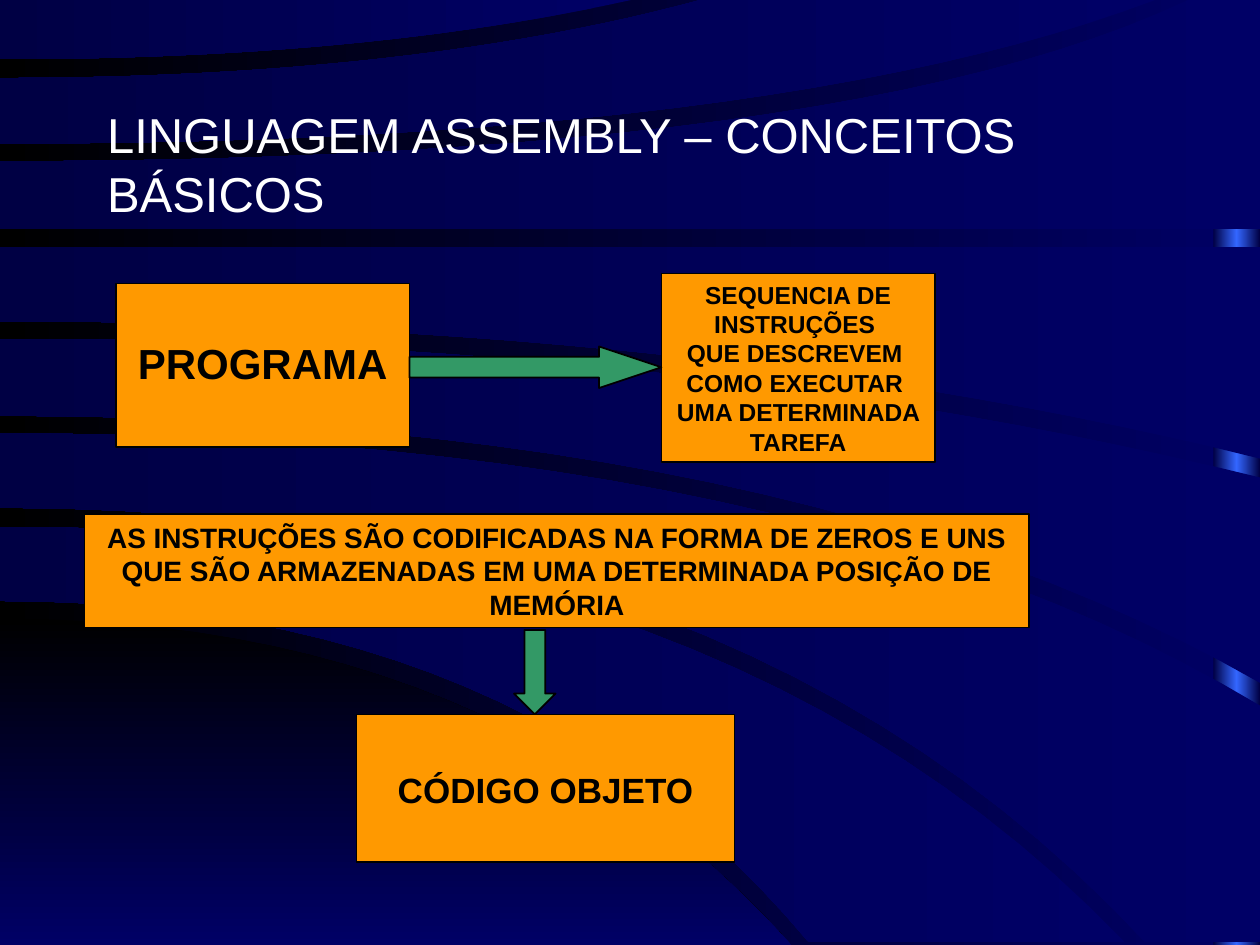
import copy
import pptx
import pptx.util
import pptx.dml.color
import pptx.enum.shapes
import pptx.enum.text

Inches = pptx.util.Inches
KIND = pptx.enum.shapes.MSO_SHAPE
ALIGN = pptx.enum.text.PP_ALIGN
ANCHOR = pptx.enum.text.MSO_ANCHOR

COLORS = {"night": "000066", "dusk": "000044", "black": "000000", "glow": "3366FF",
          "box": "FF9900", "arrow": "339966", "white": "FFFFFF"}

TITLE = "LINGUAGEM ASSEMBLY – CONCEITOS BÁSICOS"

# place, top inset, text size, lines
BOXES = [
    ((0.92, 2.25, 2.33, 1.3), 0.43, 24, ["PROGRAMA"]),
    ((5.25, 2.17, 2.17, 1.5), 0.05, 14,
     ["SEQUENCIA DE INSTRUÇÕES ", "QUE DESCREVEM ", "COMO EXECUTAR ",
      "UMA DETERMINADA ", "TAREFA"]),
    ((0.67, 4.08, 7.5, 0.9), 0.05, 16,
     ["AS INSTRUÇÕES SÃO CODIFICADAS NA FORMA DE ZEROS E UNS QUE SÃO "
      "ARMAZENADAS EM UMA DETERMINADA POSIÇÃO DE MEMÓRIA"]),
    ((2.83, 5.67, 3, 1.17), 0.43, 20, ["CÓDIGO OBJETO"]),
]

# kind, place, head length
ARROWS = [
    (KIND.RIGHT_ARROW, (3.25, 2.75, 2, 0.33), 1.5),
    (KIND.DOWN_ARROW, (4.08, 5, 0.33, 0.67), 0.5),
]

# Upper and lower edge of each band: start y, bend x, end x, end y
CORNER = ((4.91, 3.96, 6.28, 7.5), (7.5, 3, 6.28, 7.5))
BANDS = [
    ((4.18, 5.76, 8.93, 7.48), (4.77, 4.17, 6.42, 7.48)),
    ((3.44, 6.4, 10, 5.6), (4.03, 5.9, 9.09, 7.48)),
    ((2.69, 5.54, 10, 3.79), (3.3, 6.3, 10, 5.42)),
    ((1.96, 5, 10, 1.96), (2.55, 5.66, 10, 3.64)),
    ((1.28, 6.73, 9.43, 0), (1.82, 5, 10, 1.82)),
    ((0.62, 3.28, 5.56, 0), (1.14, 6.15, 9.17, 0)),
    ((0, 2.5, 5.01, 0), (0.47, 2.9, 5.01, 0)),
]
STEPS = 24


def rgb(name):
    return pptx.dml.color.RGBColor.from_string(COLORS[name])


def blend(fill, names, angle=180):
    """Fill with a linear gradient of evenly spaced colours."""
    fill.gradient()
    fill.gradient_angle = angle
    first = fill.gradient_stops[0]._gs
    for _ in names[2:]:
        first.addnext(copy.deepcopy(first))
    for i, (stop, name) in enumerate(zip(fill.gradient_stops, names)):
        stop.color.rgb = rgb(name)
        stop.position = i / (len(names) - 1)


def put_text(shape, lines, size, color="black", bold=False, align=ALIGN.CENTER,
             anchor=ANCHOR.TOP, top=0.05):
    frame = shape.text_frame
    frame.word_wrap = True
    frame.auto_size = pptx.enum.text.MSO_AUTO_SIZE.NONE
    frame.vertical_anchor = anchor
    frame.margin_left = frame.margin_right = Inches(0.1)
    frame.margin_top, frame.margin_bottom = Inches(top), Inches(0.05)
    frame.text = "\n".join(lines)
    for para in frame.paragraphs:
        para.alignment = align
        font = para.runs[0].font
        font.name, font.size, font.bold = "Arial", pptx.util.Pt(size), bold
        font.color.rgb = rgb(color)


def add_form(slide, kind, place, color=None):
    """Add a preset shape; with a colour it gets a flat fill and black outline."""
    shape = slide.shapes.add_shape(kind, *map(Inches, place))
    shape.shadow.inherit = False
    if color:
        shape.fill.solid()
        shape.fill.fore_color.rgb = rgb(color)
        shape.line.color.rgb = rgb("black")
        shape.line.width = pptx.util.Pt(1)
    else:
        shape.line.fill.background()
    return shape


def trace(start, bend, end_x, end_y):
    """Points of a quadratic curve that leaves the left side level."""
    points = []
    for i in range(STEPS + 1):
        t = i / STEPS
        x = 2 * t * (1 - t) * bend + t * t * end_x
        y = start + t * t * (end_y - start)
        points.append((Inches(x), Inches(y)))
    return points


def add_band(slide, edges, names, angle=180):
    upper, lower = (trace(*edge) for edge in edges)
    ends = upper[-1], lower[-1]
    corner = (max(ends)[0], min(ends, key=lambda end: end[0])[1])
    points = upper + [corner] + lower[::-1]
    form = slide.shapes.build_freeform(*points[0])
    form.add_line_segments(points[1:], close=True)
    shape = form.convert_to_shape()
    shape.shadow.inherit = False
    shape.line.fill.background()
    blend(shape.fill, names, angle)


def add_scene(slide):
    blend(slide.background.fill, ["night", "black"])
    strip = add_form(slide, KIND.RECTANGLE, (9.63, 0, 0.37, 7.5))
    blend(strip.fill, ["dusk", "glow", "dusk"])
    add_band(slide, CORNER, ["black", "night"], angle=270)
    for band in BANDS:
        add_band(slide, band, ["night", "dusk"])


def main():
    deck = pptx.Presentation()
    deck.slide_width, deck.slide_height = Inches(10), Inches(7.5)
    slide = deck.slides.add_slide(deck.slide_layouts[5])
    add_scene(slide)

    title = slide.shapes.title
    slide.shapes._spTree.append(title._element)  # in front of the scene
    title.left, title.top, title.width, title.height = map(Inches, (0.75, 0.67, 8.5, 1.25))
    put_text(title, [TITLE], 28, color="white", align=ALIGN.LEFT, anchor=ANCHOR.MIDDLE)

    for place, top, size, lines in BOXES:
        box = add_form(slide, KIND.RECTANGLE, place, "box")
        put_text(box, lines, size, bold=True, top=top)
    for kind, place, head in ARROWS:
        arrow = add_form(slide, kind, place, "arrow")
        arrow.adjustments[1] = head
    deck.save("out.pptx")


if __name__ == "__main__":
    main()
